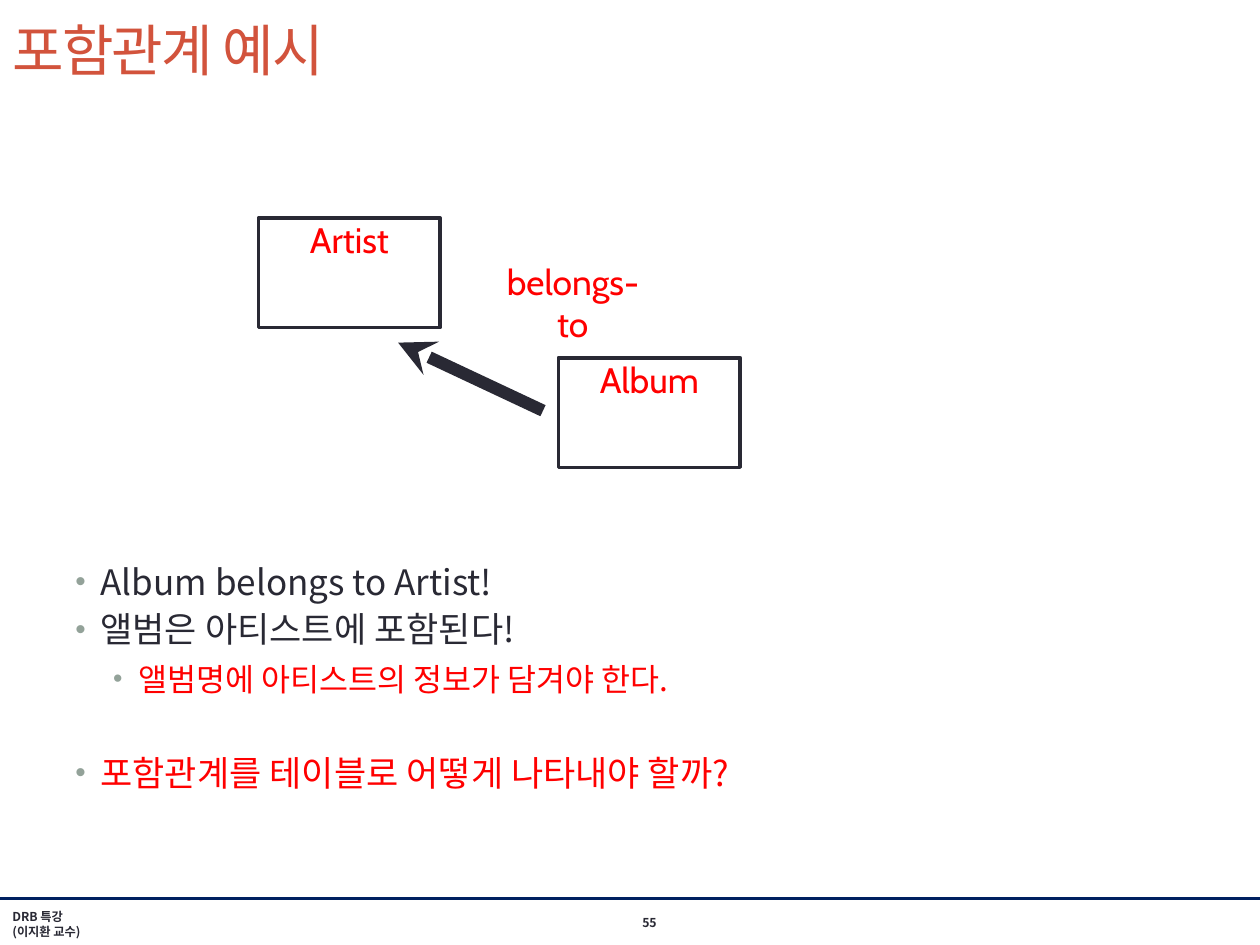
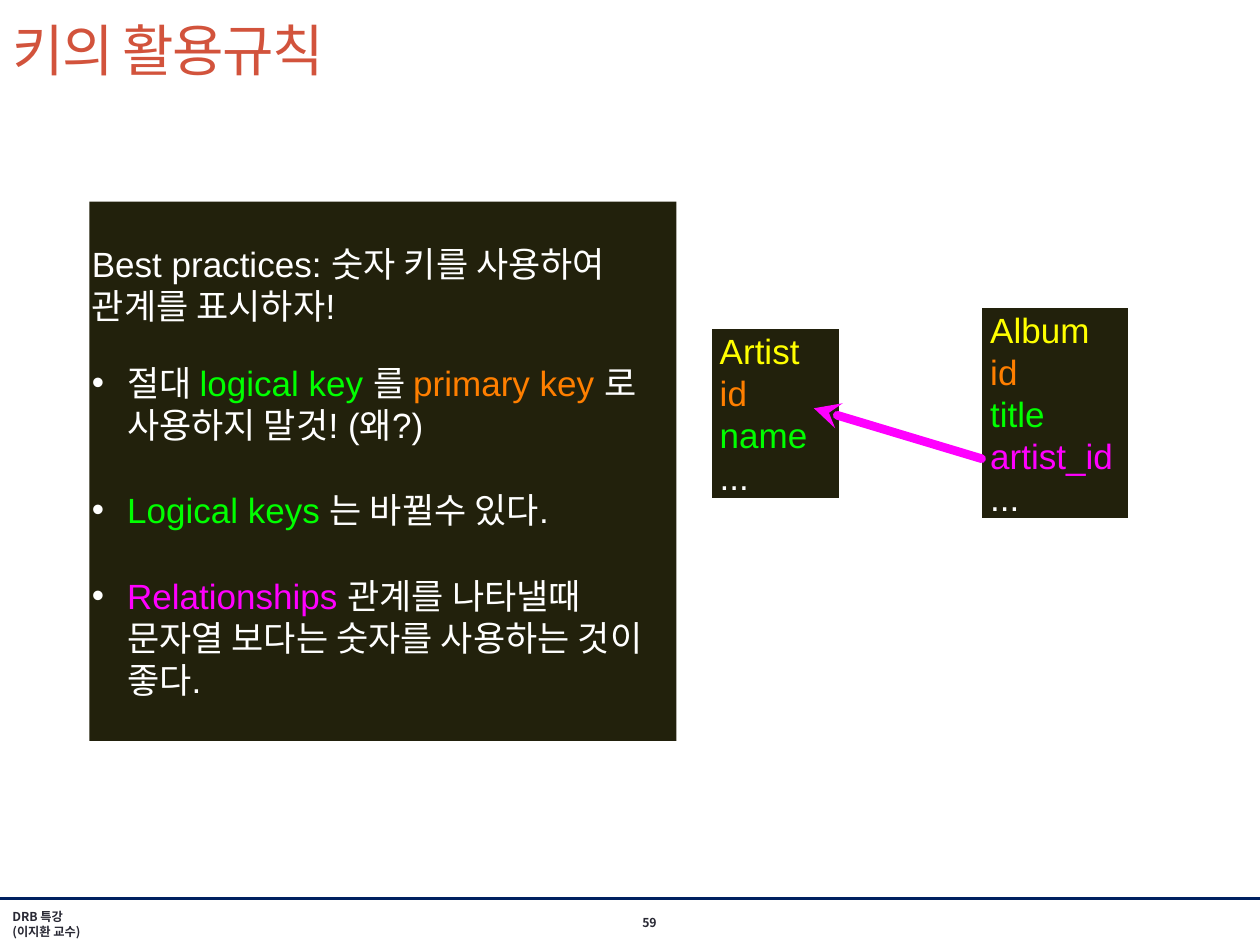
"""Build two slides on containment relations and key rules."""
from lxml.etree import SubElement
from pptx import Presentation
from pptx.dml.color import RGBColor
from pptx.enum.shapes import MSO_CONNECTOR as Connector, MSO_SHAPE as Shape
from pptx.enum.text import MSO_ANCHOR as Anchor, PP_ALIGN as Align
from pptx.oxml.ns import qn
from pptx.util import Pt

INK, TITLE, RULE, BULLET = "292934", "D2533C", "002060", "93A299"
RED, WHITE, PANEL = "FF0000", "FFFFFF", "22210C"
YELLOW, ORANGE, GREEN, MAGENTA = "FFFF00", "FF7F00", "00FF00", "FF00FF"
KOREAN, SANS, LABEL = "Noto Sans CJK KR", "Arial", "Cabin"
FOOTER = ["DRB 특강", "(이지환 교수)"]

CONTAINMENT = {
    "title": "포함관계 예시",
    "page": "55",
    "entities": [("Album", 319, 204.5), ("Artist", 147.6, 124.6)],
    "relation": "belongs-to",
    "arrow": (227.5, 195.8, 310.3, 234.7),
    "points": [
        ("Album belongs to Artist!", INK, 20, 0, 0),
        ("앨범은 아티스트에 포함된다!", INK, 20, 0, 0),
        ("앨범명에 아티스트의 정보가 담겨야 한다.", RED, 18, 1, 0),
        ("포함관계를 테이블로 어떻게 나타내야 할까?", RED, 20, 0, 27.3),
    ],
}
KEY_RULES = {
    "title": "키의 활용규칙",
    "page": "59",
    "heading": "Best practices: 숫자 키를 사용하여 관계를 표시하자!",
    "rules": [
        (20, [("절대 ", WHITE), ("logical key ", GREEN), ("를 ", WHITE),
              ("primary key ", ORANGE), ("로 사용하지 말것! (왜?)", WHITE)]),
        (25, [("Logical keys ", GREEN), ("는 바뀔수 있다.", WHITE)]),
        (25, [("Relationships ", MAGENTA),
              ("관계를 나타낼때 문자열 보다는 숫자를 사용하는 것이 좋다.", WHITE)]),
    ],
    "tables": [
        ((406.1, 187.5, 74, 97.5),
         [("Artist", YELLOW), ("id", ORANGE), ("name", GREEN), ("...", WHITE)]),
        ((560.7, 175.6, 84.2, 121),
         [("Album", YELLOW), ("id", ORANGE), ("title", GREEN),
          ("artist_id", MAGENTA), ("...", WHITE)]),
    ],
    "arrow": (465.1, 233.3, 560.9, 262.1),
}


def color(value):
    return RGBColor.from_string(value)


def prepare(box, insets, anchor):
    frame = box.text_frame
    frame.word_wrap = True
    frame.vertical_anchor = anchor
    (frame.margin_left, frame.margin_top,
     frame.margin_right, frame.margin_bottom) = [Pt(inset) for inset in insets]
    return box


def add_text(slide, place, insets=(7.2, 3.6, 7.2, 3.6), anchor=Anchor.MIDDLE):
    return prepare(slide.shapes.add_textbox(*map(Pt, place)), insets, anchor)


def add_rectangle(slide, place, fill=None, line=None, width=1,
                  insets=(0, 0, 0, 0), anchor=Anchor.MIDDLE):
    box = slide.shapes.add_shape(Shape.RECTANGLE, *map(Pt, place))
    box.shadow.inherit = False
    if fill:
        box.fill.solid()
        box.fill.fore_color.rgb = color(fill)
    else:
        box.fill.background()
    if line:
        box.line.color.rgb = color(line)
        box.line.width = Pt(width)
    else:
        box.line.fill.background()
    return prepare(box, insets, anchor)


def write(box, spans, size, face, align=Align.LEFT, bold=False, spacing=None,
          before=0, bullet=None, indent=0, hanging=0, tracking=0):
    frame = box.text_frame
    para = frame.paragraphs[0]
    if para.runs:
        para = frame.add_paragraph()
    if bullet:
        bullet_color, percent = bullet
        properties = para._p.get_or_add_pPr()
        properties.set("marL", str(Pt(indent)))
        properties.set("indent", str(-Pt(hanging)))
        tint = SubElement(properties, qn("a:buClr"))
        SubElement(tint, qn("a:srgbClr"), val=bullet_color)
        SubElement(properties, qn("a:buSzPct"), val=str(percent * 1000))
        SubElement(properties, qn("a:buFont"), typeface=SANS)
        SubElement(properties, qn("a:buChar"), char="•")
    para.alignment = align
    para.space_before = Pt(before)
    if spacing:
        para.line_spacing = Pt(spacing)
    font = para.font
    font.size, font.name, font.bold = Pt(size), face, bold
    font.color.rgb = color(spans[0][1])
    SubElement(font._element, qn("a:ea"), typeface=KOREAN)
    for text, tone in spans:
        span = para.add_run()
        span.text = text
        if len(spans) > 1:
            span.font.color.rgb = color(tone)
        if tracking:
            span.font._element.set("spc", str(tracking * 100))


def add_line(slide, ends, tone, width, arrow=False, cap="flat"):
    line = slide.shapes.add_connector(Connector.STRAIGHT, *map(Pt, ends))
    line.line.color.rgb = color(tone)
    line.line.width = Pt(width)
    SubElement(line._element.spPr, qn("a:effectLst"))
    outline = line.line._get_or_add_ln()
    outline.set("cap", cap)
    if arrow:
        SubElement(outline, qn("a:headEnd"), type="stealth")


def add_slide(deck, content):
    slide = deck.slides.add_slide(deck.slide_layouts[6])
    add_line(slide, (0, 513.4, 720, 513.4), RULE, 1.5)
    page = add_text(slide, (360, 519, 36, 16.6))
    write(page, [(content["page"], INK)], 7, KOREAN, bold=True)
    title = add_text(slide, (0, 0.7, 720, 54.7))
    write(title, [(content["title"], TITLE)], 32, KOREAN, tracking=-1)
    footer = add_text(slide, (0, 519.8, 145.4, 16.6))
    for text in FOOTER:
        write(footer, [(text, INK)], 7, KOREAN, bold=True, spacing=8.6)
    return slide


def build_containment(deck, content):
    slide = add_slide(deck, content)
    body = add_text(slide, (36, 313.2, 648, 182.9), anchor=Anchor.TOP)
    for text, tone, size, level, before in content["points"]:
        write(body, [(text, tone)], size, KOREAN, spacing=27.3, before=before,
              bullet=(BULLET, 85), indent=14.4 + 21.6 * level, hanging=14.4)
    for name, left, top in content["entities"]:
        entity = add_rectangle(slide, (left, top, 104, 62.6), line=INK,
                               width=2, anchor=Anchor.TOP)
        write(entity, [(name, RED)], 20.2, LABEL, Align.CENTER)
    add_line(slide, content["arrow"], INK, 7, arrow=True)
    relation = add_text(slide, (283, 160.6, 88.6, 24.5), (0, 0, 0, 0))
    write(relation, [(content["relation"], RED)], 20.2, LABEL, Align.CENTER)


def build_key_rules(deck, content):
    slide = add_slide(deck, content)
    panel = add_rectangle(slide, (51.1, 115.2, 335.5, 308.2), PANEL,
                          insets=(1.4, 1.4, 1.4, 1.4))
    write(panel, [(content["heading"], WHITE)], 20, SANS, spacing=24)
    for before, spans in content["rules"]:
        write(panel, spans, 20, SANS, spacing=24, before=before,
              bullet=(WHITE, 100), indent=20.2, hanging=20.2)
    for place, fields in content["tables"]:
        table = add_rectangle(slide, place, PANEL, WHITE, insets=(5.2, 0, 0, 0))
        for field in fields:
            write(table, [field], 20, SANS, spacing=24)
    add_line(slide, content["arrow"], MAGENTA, 5, arrow=True, cap="rnd")


def main():
    deck = Presentation()
    deck.slide_width, deck.slide_height = Pt(720), Pt(540)
    build_containment(deck, CONTAINMENT)
    build_key_rules(deck, KEY_RULES)
    deck.save("out.pptx")


if __name__ == "__main__":
    main()
